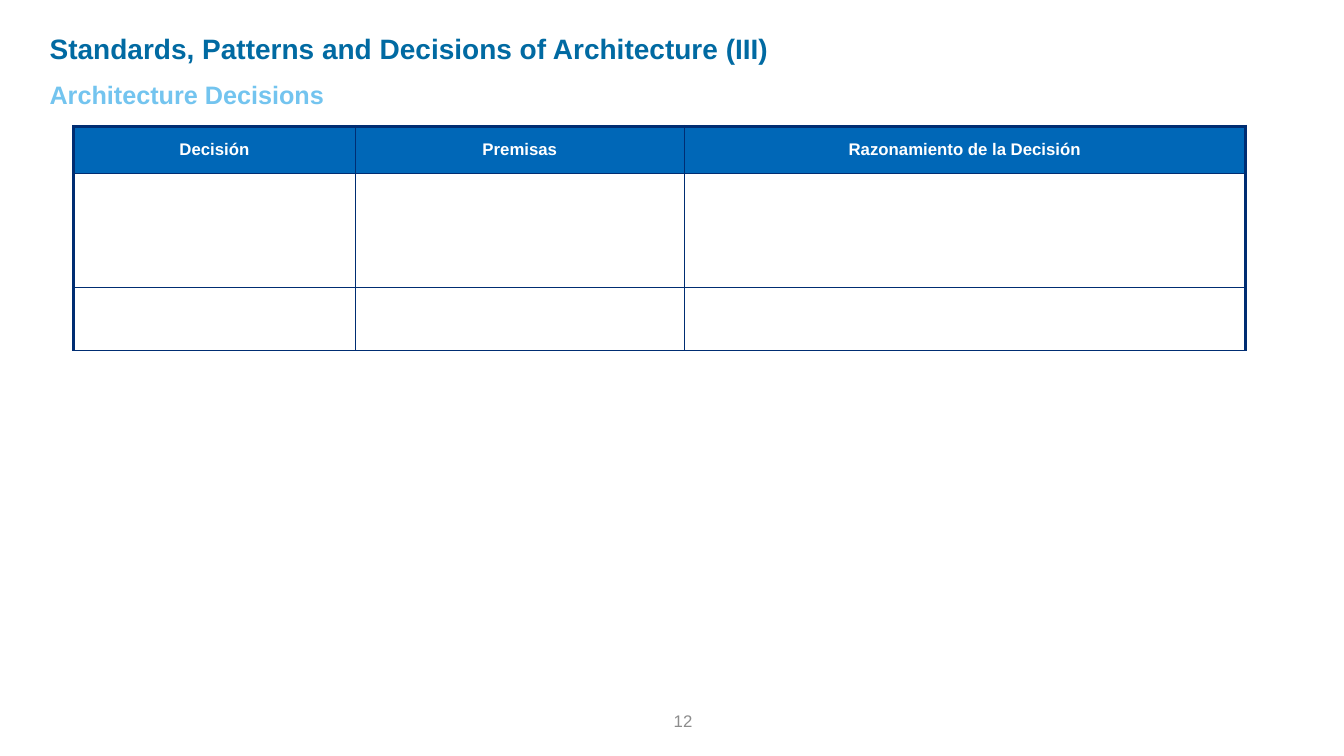
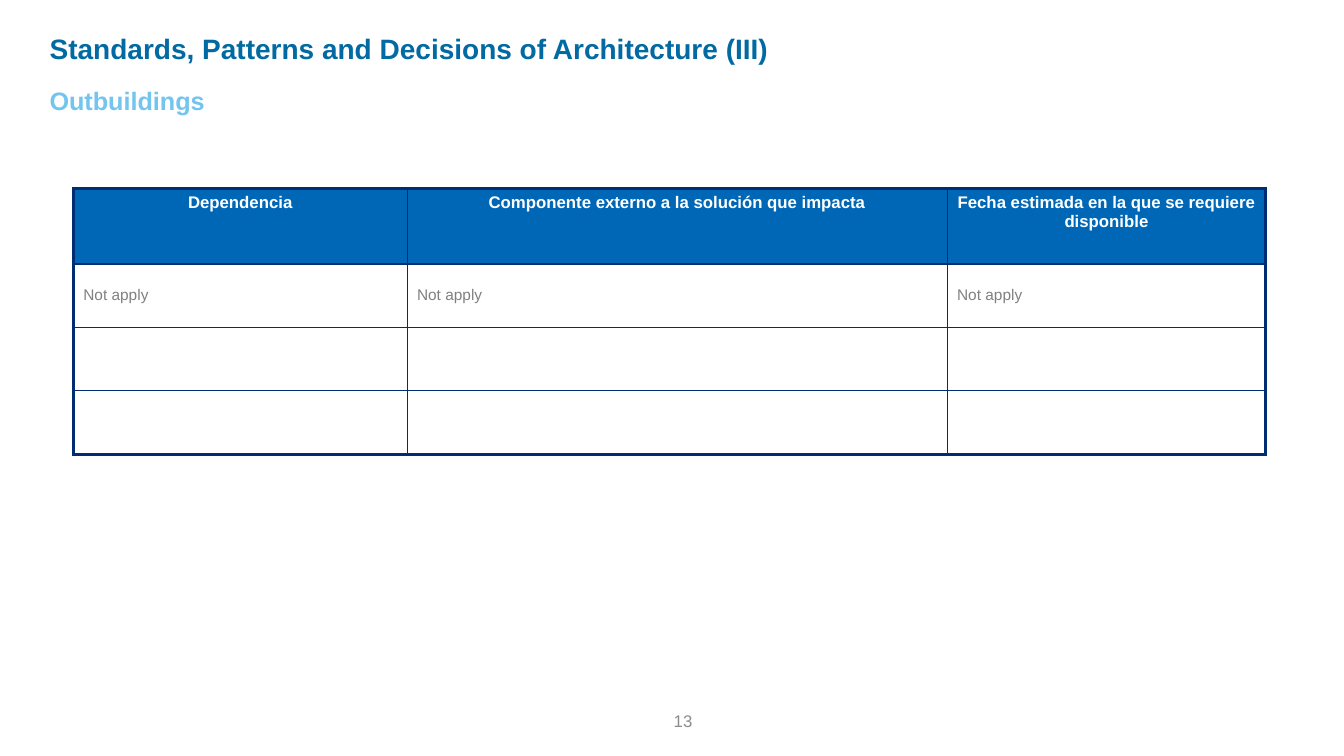
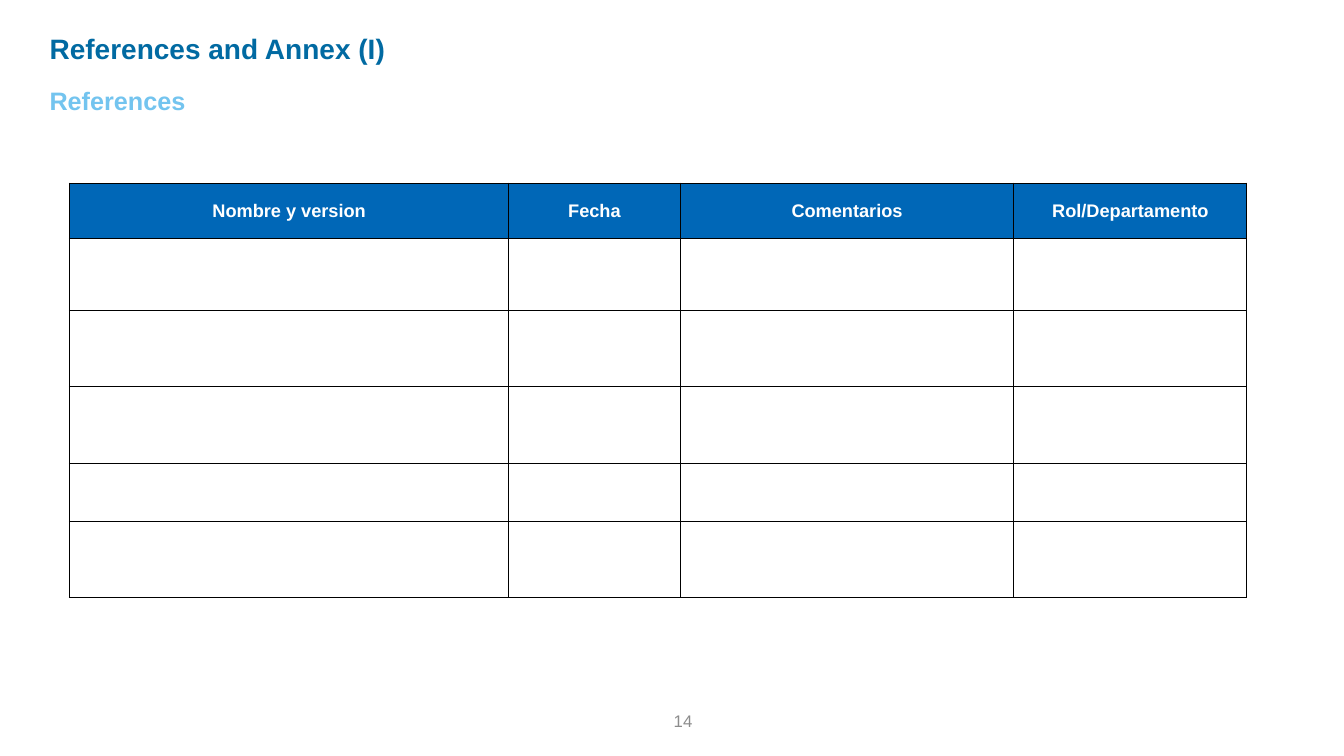
from dataclasses import dataclass

from lxml import etree
from pptx import Presentation
from pptx import util as u
from pptx.dml.color import RGBColor
from pptx.enum import text
from pptx.oxml import ns
from pptx.util import Cm

FONT = "Arial"
FIRST_PAGE = 12
TITLE_ONLY = 5
LEFT = 1.12
COLORS = {
    "title": "016AA2",
    "subtitle": "73C4EF",
    "header": "0067B7",
    "header_text": "FFFFFF",
    "body_text": "808080",
    "page": "8C8C8C",
    "navy": "002D72",
    "black": "000000",
}


@dataclass(frozen=True)
class TextStyle:
    size: float
    color: str
    bold: bool = False
    align: text.PP_ALIGN = text.PP_ALIGN.LEFT
    anchor: text.MSO_ANCHOR = text.MSO_ANCHOR.TOP
    margins: tuple[float, float] = (0.13, 0.13)  # horizontal, vertical
    space_before: float = 0
    line_spacing: float = 1.0


TITLE = TextStyle(20, "title", bold=True)
SUBTITLE = TextStyle(18, "subtitle", bold=True)
PAGE = TextStyle(12, "page", align=text.PP_ALIGN.RIGHT,
                 anchor=text.MSO_ANCHOR.MIDDLE, margins=(0.25, 0.13))
BODY = TextStyle(11, "body_text", anchor=text.MSO_ANCHOR.MIDDLE,
                 margins=(0.25, 0.13), space_before=3, line_spacing=0.93)


@dataclass(frozen=True)
class Grid:
    left: float
    top: float
    columns: list[float]
    rows: list[float]
    cells: list[list[str]]
    header_anchor: text.MSO_ANCHOR = text.MSO_ANCHOR.MIDDLE
    header_size: float = 12
    header_margins: tuple[float, float] = (0.25, 0.13)
    line: str = "navy"
    edge: float = 2.25
    bottom_edge: float = 2.25


@dataclass(frozen=True)
class Page:
    title: str
    subtitle: str
    subtitle_top: float
    grid: Grid


PAGES = [
    Page("Standards, Patterns and Decisions of Architecture (III)",
         "Architecture Decisions", 1.88,
         Grid(1.85, 3.18, [7.11, 8.28, 14.15], [1.19, 2.87, 1.6],
              [["Decisión", "Premisas", "Razonamiento de la Decisión"]],
              bottom_edge=1)),
    Page("Standards, Patterns and Decisions of Architecture (III)",
         "Outbuildings", 2.01,
         Grid(1.85, 4.75, [8.41, 13.61, 8.03], [1.9, 1.6, 1.6, 1.6],
              [["Dependencia",
                "Componente externo a la solución que impacta",
                "Fecha estimada en la que se requiere disponible"],
               ["Not apply"] * 3],
              header_anchor=text.MSO_ANCHOR.TOP)),
    Page("References and Annex (I)", "References", 2.01,
         Grid(1.75, 4.62, [11.07, 4.32, 8.41, 5.87],
              [1.4, 1.8, 1.93, 1.93, 1.47, 1.9],
              [["Nombre y version", "Fecha", "Comentarios",
                "Rol/Departamento"]],
              header_size=13, header_margins=(0.2, 0.2),
              line="black", edge=1, bottom_edge=1)),
]


def rgb(name: str) -> RGBColor:
    return RGBColor.from_string(COLORS[name])


def write(frame, content: str, style: TextStyle) -> None:
    paragraph = frame.paragraphs[0]
    paragraph.alignment = style.align
    paragraph.space_before = u.Pt(style.space_before)
    paragraph.line_spacing = style.line_spacing
    run = paragraph.add_run()
    run.text = content
    run.font.name = FONT
    run.font.size = u.Pt(style.size)
    run.font.bold = style.bold
    run.font.color.rgb = rgb(style.color)


def set_margins(target, margins: tuple[float, float]) -> None:
    """Set the insets of a text frame or a table cell."""
    target.margin_left = target.margin_right = Cm(margins[0])
    target.margin_top = target.margin_bottom = Cm(margins[1])


def fill_box(shape, box: tuple[float, float, float, float],
             content: str, style: TextStyle) -> None:
    """Place a placeholder or text box and write its text."""
    shape.left, shape.top, shape.width, shape.height = map(Cm, box)
    frame = shape.text_frame
    frame.word_wrap = True
    frame.auto_size = text.MSO_AUTO_SIZE.NONE
    frame.vertical_anchor = style.anchor
    set_margins(frame, style.margins)
    write(frame, content, style)


def add_text(slide, box: tuple[float, float, float, float],
             content: str, style: TextStyle) -> None:
    fill_box(slide.shapes.add_textbox(0, 0, 0, 0), box, content, style)


def set_borders(cell, color: str, widths: dict[str, float]) -> None:
    properties = cell._tc.get_or_add_tcPr()
    for side, width in widths.items():
        line = etree.SubElement(properties, ns.qn(f"a:ln{side}"),
                                w=str(u.Pt(width)))
        fill = etree.SubElement(line, ns.qn("a:solidFill"))
        etree.SubElement(fill, ns.qn("a:srgbClr"), val=COLORS[color])


def add_grid(slide, grid: Grid) -> None:
    last_row, last_column = len(grid.rows) - 1, len(grid.columns) - 1
    table = slide.shapes.add_table(
        last_row + 1, last_column + 1, Cm(grid.left), Cm(grid.top),
        Cm(sum(grid.columns)), Cm(sum(grid.rows))).table
    table.first_row = table.horz_banding = False
    for column, width in zip(table.columns, grid.columns):
        column.width = Cm(width)
    for row, height in zip(table.rows, grid.rows):
        row.height = Cm(height)

    header = TextStyle(grid.header_size, "header_text", bold=True,
                       align=text.PP_ALIGN.CENTER, anchor=grid.header_anchor,
                       margins=grid.header_margins)
    for i, row in enumerate(table.rows):
        style = BODY if i else header
        for j, cell in enumerate(row.cells):
            set_borders(cell, grid.line, {
                "L": grid.edge if j == 0 else 1,
                "R": grid.edge if j == last_column else 1,
                "T": grid.edge if i == 0 else 1,
                "B": grid.bottom_edge if i == last_row else 1,
            })
            if i == 0:
                cell.fill.solid()
                cell.fill.fore_color.rgb = rgb("header")
            else:
                cell.fill.background()
            cell.vertical_anchor = style.anchor
            set_margins(cell, style.margins)
            if i < len(grid.cells):
                write(cell.text_frame, grid.cells[i][j], style)


def add_page(presentation, page: Page, number: int) -> None:
    layout = presentation.slide_layouts[TITLE_ONLY]
    slide = presentation.slides.add_slide(layout)
    fill_box(slide.shapes.title, (LEFT, 0.66, 21.08, 1.12), page.title, TITLE)
    add_text(slide, (LEFT, page.subtitle_top, 19.86, 1.02),
             page.subtitle, SUBTITLE)
    add_grid(slide, page.grid)
    add_text(slide, (8.48, 17.65, 9.22, 1.02), str(number), PAGE)


def main() -> None:
    presentation = Presentation()
    presentation.slide_width, presentation.slide_height = Cm(33.87), Cm(19.05)
    for number, page in enumerate(PAGES, FIRST_PAGE):
        add_page(presentation, page, number)
    presentation.save("out.pptx")


if __name__ == "__main__":
    main()
